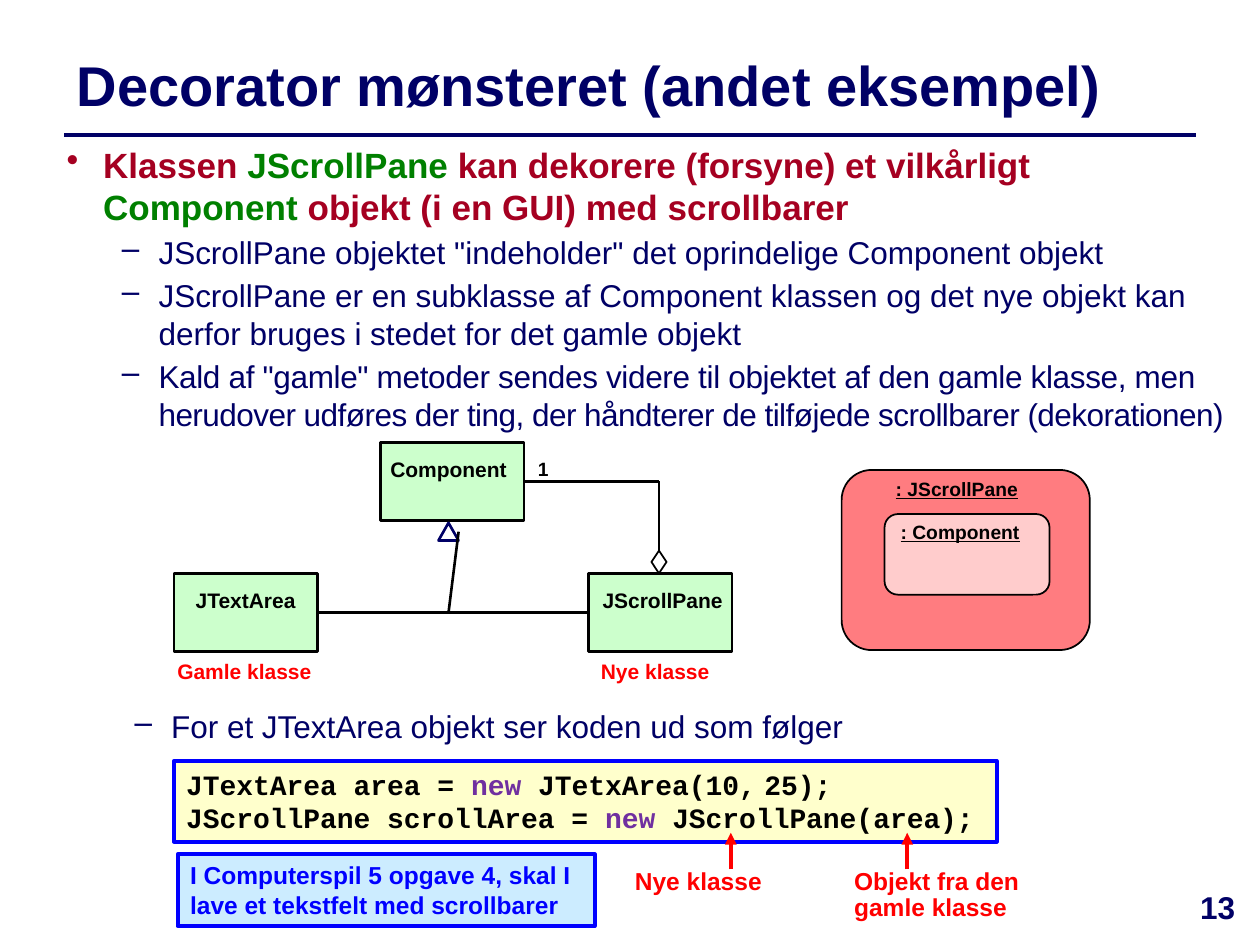
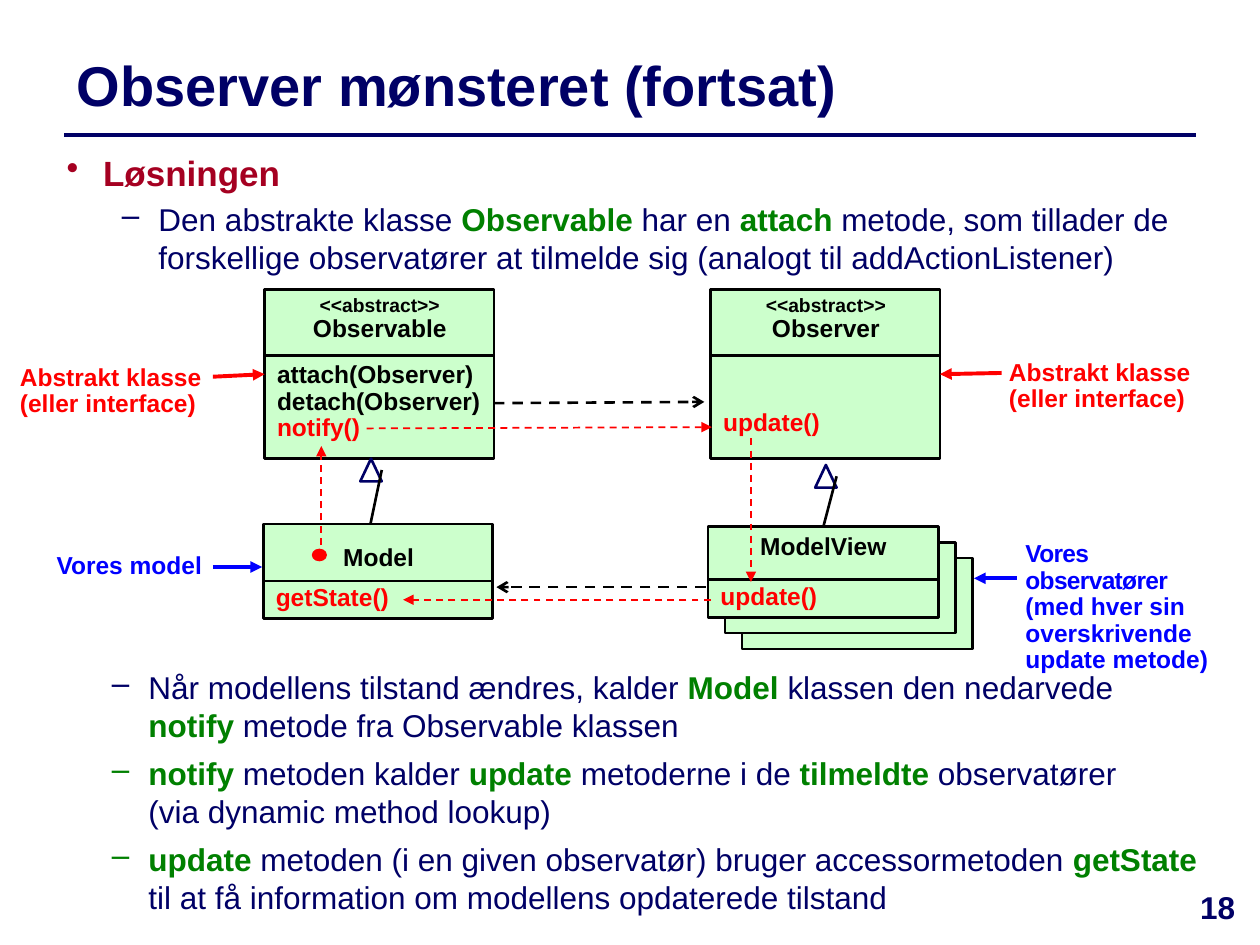
from dataclasses import dataclass
from typing import Any

from lxml import etree
from pptx import Presentation
from pptx import util as u
from pptx.dml.color import RGBColor
from pptx.enum import dml, shapes, text
from pptx.oxml import ns

COLOURS = {
    "navy": "000066", "crimson": "A50021", "green": "008000", "black": "000000",
    "white": "FFFFFF", "red": "FF0000", "blue": "0000FF", "purple": "7030A0",
    "mint": "CCFFCC", "cream": "FFFFCC", "sky": "CCECFF", "coral": "FF7C80", "pink": "FFCCCC",
}
SHAPE = shapes.MSO_SHAPE
CENTRE = text.PP_ALIGN.CENTER
TITLE = dict(size=32, bold=True, colour="navy")
HEADING = dict(size=20, bold=True, colour="crimson")
BODY = dict(size=18, bold=False, colour="navy")
TERM = dict(bold=True, colour="green")
LABEL = dict(size=12, bold=True, colour="black")
CAPTION = dict(LABEL, colour="red")
OBJECT = dict(LABEL, size=11, underline=True)
MEMBER = dict(LABEL, size=14)
CALL = dict(MEMBER, colour="red")
OWN = dict(MEMBER, colour="blue")
CODE = dict(size=16, bold=True, colour="black", name="Courier New")
KEYWORD = dict(colour="purple")
BULLETS = {"•": 0.29, "–": 0.73}


def colour(name):
    return RGBColor.from_string(COLOURS[name])


def add_run(paragraph, words, style):
    for index, piece in enumerate(words.split("\n")):
        if index:
            paragraph.add_line_break()
        if not piece:
            continue
        run = paragraph.add_run()
        run.text = piece
        for key, value in {"name": "Arial", **style}.items():
            if key == "colour":
                run.font.color.rgb = colour(value)
            elif key == "spacing":
                run._r.get_or_add_rPr().set("spc", str(round(value * 100)))
            else:
                setattr(run.font, key, u.Pt(value) if key == "size" else value)


def add_bullet(paragraph, mark):
    properties = paragraph._p.get_or_add_pPr()
    properties.set("marL", str(u.Inches(BULLETS[mark])))
    properties.set("indent", str(u.Inches(-0.29)))
    etree.SubElement(properties, ns.qn("a:buChar")).set("char", mark)


def write(frame, paragraphs, style, bullet=None, gap=0, **layout):
    frame.word_wrap = True
    frame.vertical_anchor = layout.pop("anchor", text.MSO_ANCHOR.TOP)
    for index, runs in enumerate(paragraphs):
        paragraph = frame.paragraphs[0] if index == 0 else frame.add_paragraph()
        if bullet:
            add_bullet(paragraph, bullet[min(index, len(bullet) - 1)])
        if index and gap:
            paragraph.space_before = u.Pt(gap)
        for key, value in {"alignment": text.PP_ALIGN.LEFT, **layout}.items():
            setattr(paragraph, key, value)
        for run in [runs] if isinstance(runs, str) else runs:
            words, changes = (run, {}) if isinstance(run, str) else run
            add_run(paragraph, words, {**style, **changes})


@dataclass
class Region:
    slide: Any
    left: float = 0
    top: float = 0

    def place(self, x, y):
        return u.Inches(self.left + x), u.Inches(self.top + y)

    def words(self, box, paragraphs, style, **layout):
        x, y, width, height = box
        area = self.slide.shapes.add_textbox(*self.place(x, y), u.Inches(width), u.Inches(height))
        write(area.text_frame, paragraphs, style, **layout)

    def label(self, box, paragraphs, style, **layout):
        self.words(box, paragraphs, style, line_spacing=0.9, **layout)

    def shape(self, kind, box, fill, edge="black", weight=1.5):
        x, y, width, height = box
        part = self.slide.shapes.add_shape(
            kind, *self.place(x, y), u.Inches(width), u.Inches(height))
        part.shadow.inherit = False
        part.fill.solid()
        part.fill.fore_color.rgb = colour(fill)
        part.line.color.rgb = colour(edge)
        part.line.width = u.Pt(weight)
        return part

    def line(self, start, end, edge="black", weight=1.5, head=None, dashed=False,
             begin_at=None, end_at=None):
        link = self.slide.shapes.add_connector(
            shapes.MSO_CONNECTOR.STRAIGHT, *self.place(*start), *self.place(*end))
        if begin_at:
            link.begin_connect(*begin_at)
        if end_at:
            link.end_connect(*end_at)
        link.line.color.rgb = colour(edge)
        link.line.width = u.Pt(weight)
        if dashed:
            link.line.dash_style = dml.MSO_LINE.DASH
        if head:
            outline = link.line._get_or_add_ln()
            etree.SubElement(outline, ns.qn("a:tailEnd")).set("type", head)
        etree.SubElement(link._element.spPr, ns.qn("a:effectLst"))

    def generalization(self, box):
        return self.shape(SHAPE.ISOSCELES_TRIANGLE, box, "white", "navy")


def add_page(deck, title, number):
    slide = deck.slides.add_slide(deck.slide_layouts[6])
    page = Region(slide)
    page.line((0.51, 1.07), (9.49, 1.07), "navy", 2)
    page.words((0.51, 0.29, 8.82, 0.75), [title], TITLE, anchor=text.MSO_ANCHOR.MIDDLE)
    page.words((9.33, 7, 0.67, 0.5), [number], dict(BODY, bold=True), alignment=CENTRE)
    return page


def decorator_classes(region):
    class_boxes = {}
    for name, x, y, label_x, label_width in [
        ("Component", 1.92, 0, 1.89, 1.14),
        ("JTextArea", 0.28, 1.04, 0.28, 1.14),
        ("JScrollPane", 3.57, 1.04, 3.53, 1.26),
    ]:
        class_boxes[name] = region.shape(SHAPE.RECTANGLE, (x, y, 1.14, 0.62), "mint")
        region.label((label_x, y + 0.09, label_width, 0.27), [name], LABEL, alignment=CENTRE)
    region.line((3.57, 1.35), (1.42, 1.35), begin_at=(class_boxes["JScrollPane"], 1),
                end_at=(class_boxes["JTextArea"], 3))
    inheritance = region.generalization((2.38, 0.64, 0.16, 0.14))
    region.line((2.46, 0.78), (2.46, 1.35), begin_at=(inheritance, 3))
    region.line((3.06, 0.31), (4.13, 0.31), begin_at=(class_boxes["Component"], 3))
    aggregation = region.shape(SHAPE.DIAMOND, (4.07, 0.86, 0.12, 0.18), "white", weight=1)
    region.line((4.13, 0.31), (4.13, 0.86), end_at=(aggregation, 0))
    region.label((3.07, 0.09, 0.22, 0.24), ["1"], dict(LABEL, size=11), alignment=CENTRE)
    for x, caption in [(0, "Gamle klasse"), (3.26, "Nye klasse")]:
        region.label((x, 1.69, 1.68, 0.28), [caption], CAPTION, alignment=CENTRE)


def decorator_objects(region):
    for name, box, label_box, fill in [
        (": JScrollPane", (0, 0, 1.97, 1.43), (0.15, 0.03, 1.53, 0.27), "coral"),
        (": Component", (0.34, 0.35, 1.31, 0.64), (0.34, 0.37, 1.2, 0.27), "pink"),
    ]:
        region.shape(SHAPE.ROUNDED_RECTANGLE, box, fill, weight=1)
        region.label(label_box, [name], OBJECT, alignment=CENTRE)


def decorator_code(region):
    listing = region.shape(SHAPE.RECTANGLE, (0, 0, 6.53, 0.64), "cream", "blue", 2.25)
    write(listing.text_frame, [
        ["JTextArea area = ", ("new ", KEYWORD), "JTetxArea(10,", (" ", dict(size=8)), "25);"],
        ["JScrollPane scrollArea = ", ("new ", KEYWORD), "JScrollPane(area);"],
    ], CODE)
    for label_x, arrow_x, caption in [
        (3.56, 4.42, "Nye klasse"),
        (5.3, 5.82, "Objekt fra den gamle klasse"),
    ]:
        region.label((label_x, 0.81, 1.52, 0.53), [caption], CALL)
        region.line((arrow_x, 0.86), (arrow_x, 0.57), "red", 2.25, "triangle")
    exercise = region.shape(SHAPE.RECTANGLE, (0.03, 0.74, 3.31, 0.57), "sky", "blue", 2.25)
    write(exercise.text_frame,
          ["I Computerspil 5 opgave 4, skal I lave et tekstfelt med scrollbarer"], OWN)


def decorator_slide(deck):
    page = add_page(deck, "Decorator mønsteret (andet eksempel)", "13")
    page.words((0.43, 1.09, 9.45, 2.4), [
        [("Klassen ", HEADING), ("JScrollPane", {**HEADING, **TERM}),
         (" kan dekorere (forsyne) et vilkårligt ", HEADING),
         ("Component", {**HEADING, **TERM}), (" objekt (i en GUI) med scrollbarer", HEADING)],
        'JScrollPane objektet "indeholder" det oprindelige Component objekt',
        "JScrollPane er en subklasse af Component klassen og det nye objekt kan "
        "derfor bruges i stedet for det gamle objekt",
        [('Kald af "gamle" metoder sendes videre til objektet af den gamle klasse, men ',
          dict(spacing=-0.2)),
         ("herudover udføres der ting, der håndterer de tilføjede scrollbarer (dekorationen)",
          dict(spacing=-0.3))],
    ], BODY, bullet="•–", gap=3)
    decorator_classes(Region(page.slide, 1.1, 3.51))
    decorator_objects(Region(page.slide, 6.68, 3.73))
    page.words((0.53, 5.56, 6.52, 0.44),
               ["For et JTextArea objekt ser koden ud som følger"], BODY, bullet="–")
    decorator_code(Region(page.slide, 1.38, 6.04))


def uml_class(region, box, heading, heading_top, divider, members, members_top):
    x, y, width, height = box
    outline = region.shape(SHAPE.RECTANGLE, box, "mint")
    region.line((x, y + divider), (x + width, y + divider))
    region.label((x + 0.15, y + heading_top, 1.53, 0.49), heading, MEMBER, alignment=CENTRE)
    region.label((x, y + members_top, width, height - members_top), members, MEMBER)
    return outline


def observer_classes(region):
    abstract = [("<<abstract>>", dict(size=11))]
    observable = uml_class(
        region, (0.02, 0, 1.82, 1.34), [abstract, "Observable"], 0, 0.52,
        ["attach(Observer)", "detach(Observer)", [("notify()", CALL)]], 0.53)
    observer = uml_class(
        region, (3.56, 0, 1.82, 1.34), [abstract, "Observer"], 0, 0.52,
        [[("update()", CALL)]], 0.91)
    uml_class(region, (0.01, 1.86, 1.82, 0.75), ["Model"], 0.12, 0.45,
              [[("getState()", CALL)]], 0.44)
    for depth in (2, 1):
        region.shape(SHAPE.RECTANGLE,
                     (3.54 + 0.135 * depth, 1.88 + 0.125 * depth, 1.83, 0.72), "mint")
    model_view = uml_class(region, (3.54, 1.88, 1.83, 0.72), ["ModelView"], 0.01, 0.42,
                           [[("update()", CALL)]], 0.41)
    region.line((0.86, 1.5), (0.86, 1.86),
                begin_at=(region.generalization((0.78, 1.34, 0.17, 0.18)), 3))
    region.line((4.47, 1.55), (4.47, 1.88), end_at=(model_view, 0),
                begin_at=(region.generalization((4.39, 1.39, 0.17, 0.18)), 3))
    for start, end in [((1.84, 0.9), (3.51, 0.89)), ((3.52, 2.36), (1.86, 2.36))]:
        region.line(start, end, head="arrow", dashed=True)
    return observable, observer


def observer_calls(region):
    for start, end in [
        ((3.56, 2.46), (1.12, 2.46)),
        ((0.83, 1.1), (3.57, 1.09)),
        ((0.47, 2.12), (0.47, 1.24)),
        ((3.88, 1.18), (3.88, 2.32)),
    ]:
        region.line(start, end, "red", 1, "triangle", dashed=True)
    region.shape(SHAPE.OVAL, (0.4, 2.06, 0.11, 0.09), "red", "red", 0.75)


def observer_notes(region, observable, observer):
    interface = "Abstrakt klasse (eller interface)"
    own_observers = [("Vores observatører\n", dict(spacing=-0.4)),
                     "(med hver sin overskrivende update metode)"]
    for note, box, style, start, end, target in [
        (interface, (0.06, 0.55, 1.84, 0.53), CALL, (1.69, 0.69), (2.1, 0.67), (observable, 1)),
        (interface, (7.91, 0.51, 1.84, 0.53), CALL, (7.95, 0.66), (7.46, 0.67), (observer, 3)),
        ("Vores model", (0.35, 2.04, 1.38, 0.31), OWN, (1.69, 2.2), (2.08, 2.2), None),
        (own_observers, (8.04, 1.95, 1.87, 0.95), OWN, (8.07, 2.29), (7.73, 2.29), None),
    ]:
        region.label(box, [note], style)
        region.line(start, end, style["colour"], 2.25, "triangle", end_at=target)


def observer_slide(deck):
    page = add_page(deck, "Observer mønsteret (fortsat)", "18")
    page.words((0.43, 1.15, 9.07, 1.1), [
        [("Løsningen", HEADING)],
        ["Den abstrakte klasse ", ("Observable", TERM), " har en ", ("attach ", TERM),
         "metode, som tillader de forskellige observatører at tilmelde sig "
         "(analogt til addActionListener)"],
    ], BODY, bullet="•–", gap=4)
    page.words((0.35, 5.25, 9.29, 2.02), [
        ["Når modellens tilstand ændres, kalder ", ("Model ", TERM),
         "klassen den nedarvede ", ("notify ", TERM), "metode fra Observable klassen"],
        [("notify", TERM), " metoden kalder ", ("update", TERM), " metoderne i de ",
         ("tilmeldte ", TERM), "observatører\n(via dynamic method lookup)"],
        [("update", TERM), " metoden (i en given observatør) bruger accessormetoden ",
         ("getState", TERM), " til at få information om modellens opdaterede tilstand"],
    ], BODY, bullet="–", gap=6)
    diagram = Region(page.slide, 2.08, 2.3)
    observable, observer = observer_classes(diagram)
    observer_notes(Region(page.slide, 0, 2.3), observable, observer)
    observer_calls(diagram)


def main():
    deck = Presentation()
    deck.slide_width, deck.slide_height = u.Inches(10), u.Inches(7.5)
    decorator_slide(deck)
    observer_slide(deck)
    deck.save("out.pptx")


if __name__ == "__main__":
    main()
